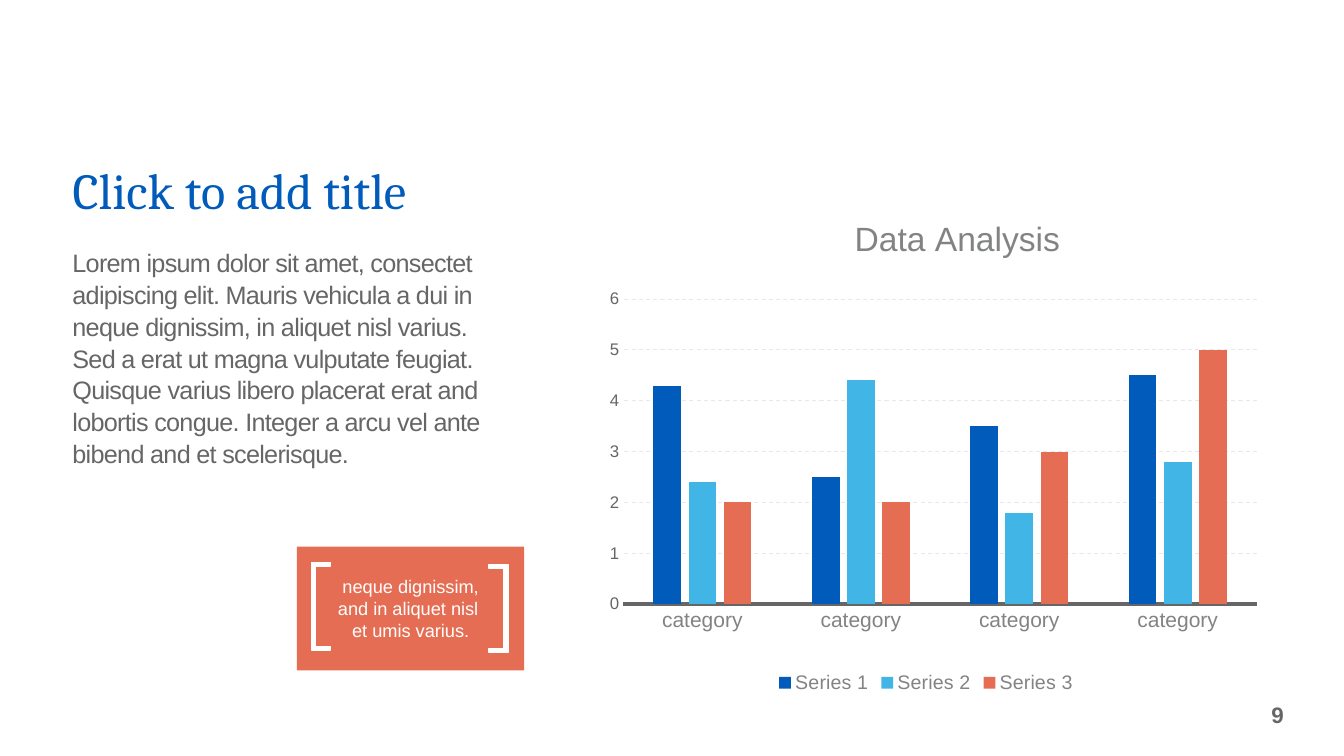
import pptx
import pptx.chart.data
import pptx.dml.color
import pptx.enum.chart
import pptx.enum.dml
import pptx.enum.shapes
import pptx.enum.text
import pptx.oxml
import pptx.oxml.ns
import pptx.util
from dataclasses import dataclass

ALIGN = pptx.enum.text.PP_ALIGN
ANCHOR = pptx.enum.text.MSO_ANCHOR
TICK = pptx.enum.chart.XL_TICK_MARK
color = pptx.dml.color.RGBColor.from_string


@dataclass
class Theme:
    blue: str = "005BBB"
    sky: str = "41B6E6"
    coral: str = "E56D54"
    white: str = "FFFFFF"
    dark: str = "666666"
    gray: str = "828383"
    grid: str = "E8E8E8"
    serif: str = "Cambria"
    sans: str = "Arial"
    title: int = 36
    chart_title: int = 24
    body: int = 18
    number: int = 16
    category: int = 15
    legend: int = 14
    callout: int = 13
    scale: int = 12


theme = Theme()
deck = pptx.Presentation()
deck.slide_width = pptx.util.Inches(13.33)
deck.slide_height = pptx.util.Inches(7.5)
page = deck.slides.add_slide(deck.slide_layouts[5])


def area(left, top, width, height):
    """Turn percentages of the slide into left, top, width and height."""
    wide, high = deck.slide_width / 100, deck.slide_height / 100
    return [pptx.util.Emu(round(share * unit)) for share, unit in
            ((left, wide), (top, high), (width, wide), (height, high))]


def set_font(font, size, tint, name=theme.sans, bold=False):
    font.size, font.name, font.bold = pptx.util.Pt(size), name, bold
    font.color.rgb = color(tint)


# Title
title = page.shapes.title
title.left, title.top, title.width, title.height = area(4.65, 19.2, 35, 10.4)
title.text_frame.text = "Click to add title"
title.text_frame.vertical_anchor = ANCHOR.BOTTOM
title.text_frame.auto_size = pptx.enum.text.MSO_AUTO_SIZE.NONE
para = title.text_frame.paragraphs[0]
para.alignment = ALIGN.LEFT
para.line_spacing = 0.8
set_font(para.font, theme.title, theme.blue, theme.serif)

# Body text
body = page.shapes.add_textbox(*area(4.65, 31.9, 32.9, 40.4))
body.text_frame.word_wrap = True
para = body.text_frame.paragraphs[0]
para.line_spacing = 1.05
set_font(para.font, theme.body, theme.dark)
span = para.add_run()
span.text = (
    "Lorem ipsum dolor sit amet, consectet adipiscing elit. Mauris vehicula a dui in "
    "neque dignissim, in aliquet nisl varius. Sed a erat ut magna vulputate feugiat. "
    "Quisque varius libero placerat erat and lobortis congue. Integer a arcu vel ante "
    "bibend and et scelerisque.")
span.font._element.set("spc", "-50")

# Column chart
chart_data = pptx.chart.data.CategoryChartData()
chart_data.categories = ["category"] * 4
chart_data.add_series("Series 1", (4.3, 2.5, 3.5, 4.5))
chart_data.add_series("Series 2", (2.4, 4.4, 1.8, 2.8))
chart_data.add_series("Series 3", (2, 2, 3, 5))
chart = page.shapes.add_chart(
    pptx.enum.chart.XL_CHART_TYPE.COLUMN_CLUSTERED,
    *area(42.7, 27.2, 52.4, 65.1), chart_data).chart
set_font(chart.font, 10, theme.dark)
chart.has_title = True
chart.chart_title.text_frame.text = "Data Analysis"
set_font(chart.chart_title.text_frame.paragraphs[0].font, theme.chart_title, theme.gray)

plot = chart.plots[0]
plot.gap_width, plot.overlap = 219, -27
plot.vary_by_categories = False
for series, tint in zip(plot.series, (theme.blue, theme.sky, theme.coral)):
    series.format.fill.solid()
    series.format.fill.fore_color.rgb = color(tint)

chart.has_legend = True
chart.legend.position = pptx.enum.chart.XL_LEGEND_POSITION.BOTTOM
chart.legend.include_in_layout = False
set_font(chart.legend.font, theme.legend, theme.gray)

# Chart axes
categories, values = chart.category_axis, chart.value_axis
for axis in (categories, values):
    axis.major_tick_mark = axis.minor_tick_mark = TICK.NONE
set_font(categories.tick_labels.font, theme.category, theme.gray)
categories.format.line.color.rgb = color(theme.dark)
categories.format.line.width = pptx.util.Pt(3.25)
set_font(values.tick_labels.font, theme.scale, theme.dark)
values.minimum_scale, values.maximum_scale, values.major_unit = 0, 6, 1
values.format.line.fill.background()
grid_line = values.major_gridlines.format.line
grid_line.color.rgb = color(theme.grid)
grid_line.width = pptx.util.Pt(0.75)
grid_line.dash_style = pptx.enum.dml.MSO_LINE.DASH

# Fixed places of the chart title and the plot, as shares of the chart
for part, index, places in (
        ("c:title", 1, {"xMode": "edge", "yMode": "edge", "x": 0.39, "y": 0.01}),
        ("c:plotArea", 0, {"layoutTarget": "inner", "xMode": "edge", "yMode": "edge",
                           "x": 0.07, "y": 0.19, "w": 0.9, "h": 0.62})):
    parent = chart.element.xpath("c:chart/" + part)[0]
    for old_layout in parent.findall(pptx.oxml.ns.qn("c:layout")):
        parent.remove(old_layout)
    settings = "".join(f'<c:{key} val="{value}"/>' for key, value in places.items())
    parent.insert(index, pptx.oxml.parse_xml(
        f'<c:layout {pptx.oxml.ns.nsdecls("c")}>'
        f"<c:manualLayout>{settings}</c:manualLayout></c:layout>"))

# Callout panel
panel = page.shapes.add_shape(
    pptx.enum.shapes.MSO_SHAPE.RECTANGLE, *area(22.1, 72.3, 16.9, 16.4))
panel.shadow.inherit = False
panel.fill.solid()
panel.fill.fore_color.rgb = color(theme.coral)
panel.line.fill.background()

# Callout brackets, in thousandths of the slide; direction is where they open
for outer, top, direction in ((232, 744, 1), (378, 747, -1)):
    tip, inner, bottom = outer + 14 * direction, outer + 3 * direction, top + 116
    pen = page.shapes.build_freeform(
        tip, top, scale=(deck.slide_width / 1000, deck.slide_height / 1000))
    pen.add_line_segments([
        (outer, top), (outer, bottom), (tip, bottom), (tip, bottom - 5),
        (inner, bottom - 5), (inner, top + 5), (tip, top + 5)])
    bracket = pen.convert_to_shape()
    bracket.shadow.inherit = False
    bracket.fill.solid()
    bracket.fill.fore_color.rgb = color(theme.white)
    bracket.line.color.rgb = color(theme.white)
    bracket.line.width = pptx.util.Pt(1)

# Callout text
callout = page.shapes.add_textbox(*area(24.1, 75.5, 12.9, 10.1))
callout.text_frame.word_wrap = True
para = callout.text_frame.paragraphs[0]
para.alignment = ALIGN.CENTER
set_font(para.font, theme.callout, theme.white)
para.add_run().text = "neque dignissim, and in aliquet nisl "
para.add_line_break()
para.add_run().text = "et umis varius."

# Page number
number = page.shapes.add_textbox(*area(90.6, 90.7, 5.9, 7.7))
number.text_frame.text = "9"
number.text_frame.word_wrap = True
number.text_frame.vertical_anchor = ANCHOR.MIDDLE
number.text_frame.margin_right = pptx.util.Inches(0.13)
para = number.text_frame.paragraphs[0]
para.alignment = ALIGN.RIGHT
set_font(para.font, theme.number, theme.dark, bold=True)

deck.save("out.pptx")
